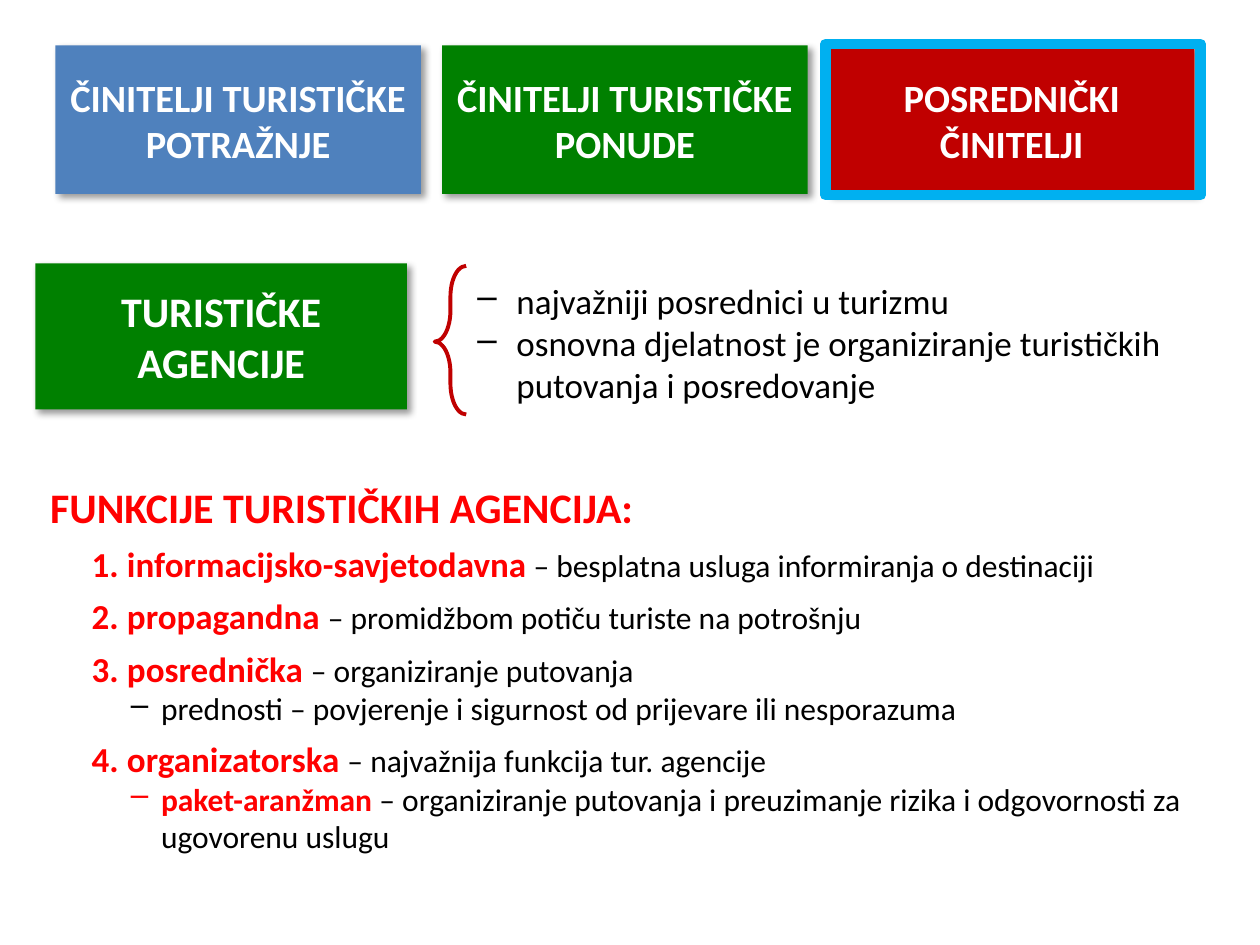
import pptx
import pptx.util
import pptx.dml.color
import pptx.enum.shapes
import pptx.enum.text
import pptx.oxml
import pptx.oxml.ns
from lxml import etree

Inches = pptx.util.Inches
Pt = pptx.util.Pt
RGBColor = pptx.dml.color.RGBColor
MSO_SHAPE = pptx.enum.shapes.MSO_SHAPE
qn = pptx.oxml.ns.qn

FONT = "Calibri"
BLUE = RGBColor(0x4F, 0x81, 0xBD)
GREEN = RGBColor(0x00, 0x80, 0x00)
DARK_RED = RGBColor(0xC0, 0x00, 0x00)
RED = RGBColor(0xFF, 0x00, 0x00)
SKY = RGBColor(0x00, 0xB0, 0xF0)
BLACK = RGBColor(0, 0, 0)
WHITE = RGBColor(0xFF, 0xFF, 0xFF)

SHADOW = (
    '<a:outerShdw xmlns:a="http://schemas.openxmlformats.org/drawingml/2006/main"'
    ' blurRad="50800" dist="38100" dir="2700000" algn="tl" rotWithShape="0">'
    '<a:srgbClr val="000000"><a:alpha val="40000"/></a:srgbClr></a:outerShdw>'
)


def add_run(paragraph, text, size, color, bold=False):
    run = paragraph.add_run()
    run.text = text
    run.font.name = FONT
    run.font.size = Pt(size)
    run.font.bold = bold
    run.font.color.rgb = color


def add_box(slide, left, top, width, height, fill, text, size):
    """Filled heading box with a soft shadow."""
    box = slide.shapes.add_shape(MSO_SHAPE.RECTANGLE, Inches(left), Inches(top),
                                 Inches(width), Inches(height))
    box.fill.solid()
    box.fill.fore_color.rgb = fill
    box.line.fill.background()
    box.shadow.inherit = False
    effects = box.element.spPr.find(qn("a:effectLst"))
    effects.append(pptx.oxml.parse_xml(SHADOW))
    frame = box.text_frame
    frame.word_wrap = True
    frame.vertical_anchor = pptx.enum.text.MSO_ANCHOR.MIDDLE
    frame.margin_left = frame.margin_right = Inches(0.04)
    frame.margin_top = frame.margin_bottom = 0
    paragraph = frame.paragraphs[0]
    paragraph.alignment = pptx.enum.text.PP_ALIGN.CENTER
    add_run(paragraph, text, size, WHITE, bold=True)


def add_outline(slide, shape_type, left, top, width, height, color, weight):
    """Unfilled shape with a coloured line."""
    outline = slide.shapes.add_shape(shape_type, Inches(left), Inches(top),
                                     Inches(width), Inches(height))
    outline.fill.background()
    outline.line.color.rgb = color
    outline.line.width = Pt(weight)
    outline.shadow.inherit = False
    return outline


def add_text(slide, left, top, width, height):
    box = slide.shapes.add_textbox(Inches(left), Inches(top), Inches(width), Inches(height))
    box.text_frame.word_wrap = True
    box.text_frame.auto_size = pptx.enum.text.MSO_AUTO_SIZE.SHAPE_TO_FIT_TEXT
    return box.text_frame


def add_item(frame, runs, margin, indent, level=0, before=0, dash=False, numbered=False):
    """Paragraph with a hanging indent and an optional dash or number."""
    first = frame.paragraphs[0]
    paragraph = frame.add_paragraph() if first.runs else first
    paragraph.level = level
    if first.runs and before:
        paragraph.space_before = Pt(before)
    properties = paragraph._p.get_or_add_pPr()
    properties.set("marL", str(Inches(margin)))
    properties.set("indent", str(Inches(indent)))
    if dash:
        etree.SubElement(properties, qn("a:buChar")).set("char", "–")
    if numbered:
        etree.SubElement(properties, qn("a:buAutoNum")).set("type", "arabicPeriod")
    for run in runs:
        add_run(paragraph, *run)


def add_function(frame, name, description):
    add_item(frame, [(name, 20, RED, True), (description, 18, BLACK)],
             0.71, -0.28, level=3, before=6, numbered=True)


def add_detail(frame, *runs):
    add_item(frame, runs, 0.98, -0.24, level=4, dash=True)


def main():
    presentation = pptx.Presentation()
    presentation.slide_width = Inches(10)
    presentation.slide_height = Inches(7.5)
    slide = presentation.slides.add_slide(presentation.slide_layouts[6])

    # Agencies and their description
    add_box(slide, 0.28, 2.09, 2.95, 1.16, GREEN, "TURISTIČKE AGENCIJE", 24)
    description = add_text(slide, 3.69, 2.17, 6.09, 1.11)
    for text in ("najvažniji posrednici u turizmu",
                 "osnovna djelatnost je organiziranje turističkih putovanja i posredovanje"):
        add_item(description, [(text, 20, BLACK)], 0.31, -0.31, dash=True)

    # Row of market factors, the last one highlighted
    factors = [("ČINITELJI TURISTIČKE POTRAŽNJE", BLUE),
               ("ČINITELJI TURISTIČKE PONUDE", GREEN),
               ("POSREDNIČKI ČINITELJI", DARK_RED)]
    for column, (text, fill) in enumerate(factors):
        add_box(slide, 0.44 + 3.07 * column, 0.36, 2.9, 1.18, fill, text, 22)
    add_outline(slide, MSO_SHAPE.RECTANGLE, 6.55, 0.35, 2.98, 1.2, SKY, 6)

    # Functions of the agencies
    functions = add_text(slide, 0.2, 3.77, 9.8, 3.1)
    add_item(functions, [("FUNKCIJE TURISTIČKIH AGENCIJA:", 24, RED, True)],
             0.38, -0.28, level=2)
    add_function(functions, "informacijsko-savjetodavna",
                 " – besplatna usluga informiranja o destinaciji")
    add_function(functions, "propagandna ", "– promidžbom potiču turiste na potrošnju")
    add_function(functions, "posrednička ", "– organiziranje putovanja")
    add_detail(functions, ("prednosti – povjerenje i sigurnost od prijevare ili nesporazuma",
                           18, BLACK))
    add_function(functions, "organizatorska ", "– najvažnija funkcija tur. agencije")
    add_detail(functions, ("paket-aranžman", 18, RED, True),
               (" – organiziranje putovanja i preuzimanje rizika i odgovornosti"
                " za ugovorenu uslugu", 18, BLACK))

    # Brace opening towards the description
    brace = add_outline(slide, MSO_SHAPE.RIGHT_BRACE, 3.45, 2.11, 0.25, 1.18, DARK_RED, 2.25)
    brace.adjustments[0] = 0.98
    brace.adjustments[1] = 0.51
    brace.element.spPr.find(qn("a:xfrm")).set("flipH", "1")

    presentation.save("out.pptx")


if __name__ == "__main__":
    main()
